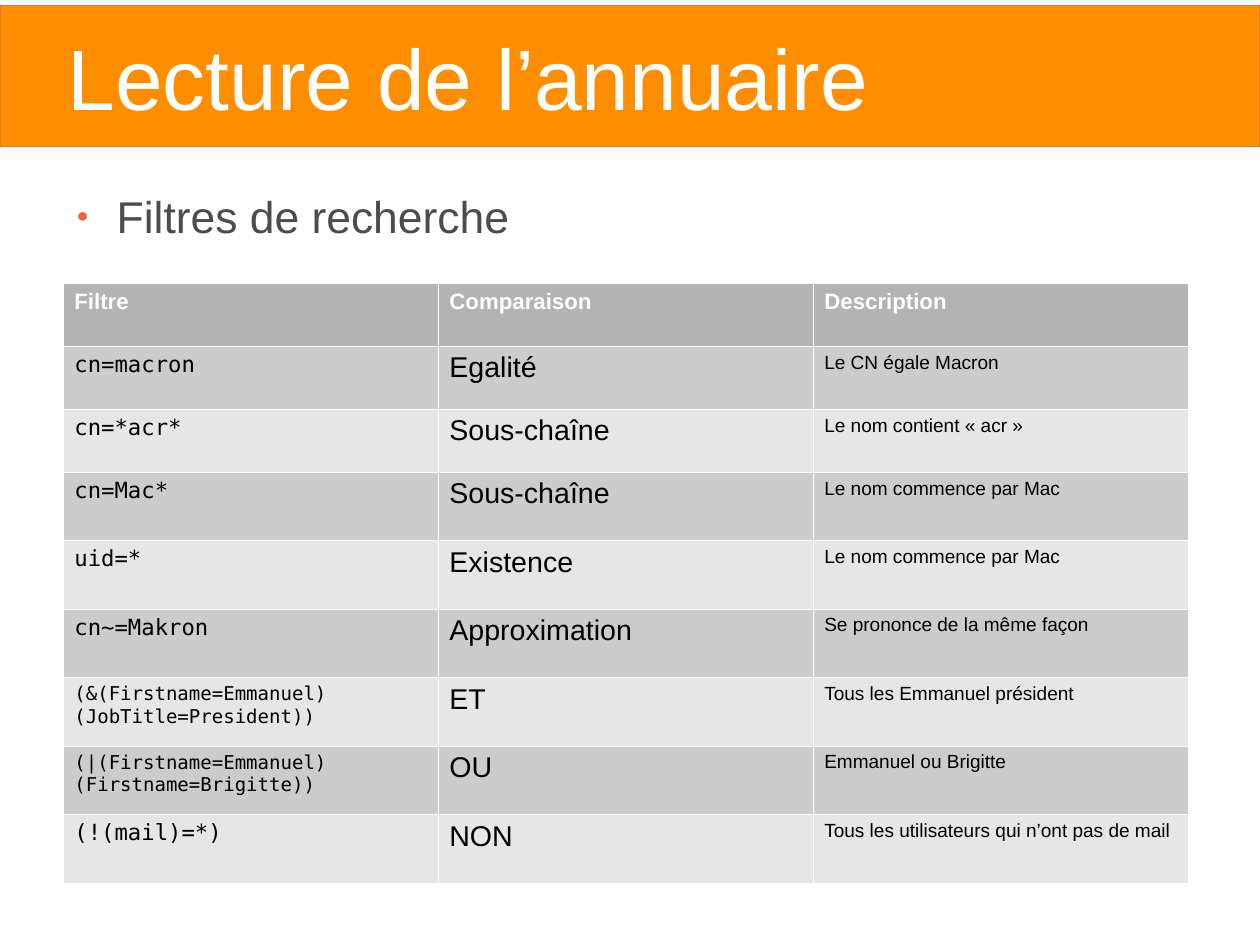
import pptx
import pptx.dml.color
import pptx.enum.text
import pptx.oxml
import pptx.oxml.ns
import pptx.util

WIDTH = pptx.util.Cm(28)
HEIGHT = pptx.util.Cm(21)
COLOURS = {
    "band": "FF8D00",
    "band_line": "D27E2B",
    "white": "FFFFFF",
    "bullet": "EB613D",
    "body": "4C4C4C",
    "black": "000000",
    "header": "B3B3B3",
    "dark_row": "CCCCCC",
    "light_row": "E6E6E6",
}
SANS = "Arial"
MONO = "DejaVu Sans Mono"
HEADINGS = ("Filtre", "Comparaison", "Description")
FILTERS = (
    ("cn=macron", "Egalité", "Le CN égale Macron"),
    ("cn=*acr*", "Sous-chaîne", "Le nom contient « acr »"),
    ("cn=Mac*", "Sous-chaîne", "Le nom commence par Mac"),
    ("uid=*", "Existence", "Le nom commence par Mac"),
    ("cn~=Makron", "Approximation", "Se prononce de la même façon"),
    ("(&(Firstname=Emmanuel)(JobTitle=President))", "ET", "Tous les Emmanuel président"),
    ("(|(Firstname=Emmanuel)(Firstname=Brigitte))", "OU", "Emmanuel ou Brigitte"),
    ("(!(mail)=*)", "NON", "Tous les utilisateurs qui n’ont pas de mail"),
)
LONG_FILTER = 20
SHORT_ROWS = 3


def across(percent):
    return round(WIDTH * percent / 100)


def down(percent):
    return round(HEIGHT * percent / 100)


def colour(name):
    return pptx.dml.color.RGBColor.from_string(COLOURS[name])


def parse_drawing(tag, content):
    namespace = pptx.oxml.ns.nsdecls("a")
    return pptx.oxml.parse_xml(f"<a:{tag} {namespace}>{content}</a:{tag}>")


def format_runs(frame, font, size, tint, bold=False):
    for para in frame.paragraphs:
        for span in para.runs:
            span.font.name = font
            span.font.size = pptx.util.Pt(size)
            span.font.bold = bold
            span.font.color.rgb = colour(tint)


def set_indent(para, margin, indent):
    properties = para._p.get_or_add_pPr()
    properties.set("marL", str(pptx.util.Inches(margin)))
    properties.set("indent", str(pptx.util.Inches(indent)))
    return properties


def set_insets(frame, inset):
    frame.margin_left = frame.margin_right = pptx.util.Inches(inset)
    frame.margin_top = frame.margin_bottom = pptx.util.Inches(inset)


def fill_title(page, text):
    title = page.shapes.title
    title.left, title.top = 0, down(0.62)
    title.width, title.height = WIDTH, down(14.88)
    title.fill.solid()
    title.fill.fore_color.rgb = colour("band")
    title.line.color.rgb = colour("band_line")
    title.line.width = pptx.util.Pt(0)
    frame = title.text_frame
    frame.text = text
    frame.word_wrap = True
    frame.auto_size = pptx.enum.text.MSO_AUTO_SIZE.SHAPE_TO_FIT_TEXT
    frame.vertical_anchor = pptx.enum.text.MSO_ANCHOR.MIDDLE
    set_insets(frame, 0.2)
    para = frame.paragraphs[0]
    para.alignment = pptx.enum.text.PP_ALIGN.LEFT
    set_indent(para, 0.39, 0)
    format_runs(frame, SANS, 54, "white")


def add_bullet(page, text):
    box = page.shapes.add_textbox(across(5), down(20), across(90), down(72.3))
    frame = box.text_frame
    frame.text = text
    frame.word_wrap = True
    set_insets(frame, 0)
    properties = set_indent(frame.paragraphs[0], 0.47, -0.35)
    properties.append(parse_drawing("buClr", f'<a:srgbClr val="{COLOURS["bullet"]}"/>'))
    for tag, attribute, value in (
        ("buSzPct", "val", "45000"),
        ("buFont", "typeface", SANS),
        ("buChar", "char", "●"),
    ):
        mark = parse_drawing(tag, "")
        mark.set(attribute, value)
        properties.append(mark)
    format_runs(frame, SANS, 28, "body")


def style_cell(cell, text, fill, font, size, tint, bold=False):
    cell.text_frame.text = text
    format_runs(cell.text_frame, font, size, tint, bold)
    cell.margin_left = cell.margin_right = pptx.util.Inches(0.1)
    cell.margin_top = cell.margin_bottom = pptx.util.Inches(0.05)
    properties = cell._tc.get_or_add_tcPr()
    for side in ("lnL", "lnR", "lnT", "lnB"):
        border = parse_drawing(
            side, f'<a:solidFill><a:srgbClr val="{COLOURS["white"]}"/></a:solidFill>'
        )
        border.set("w", str(pptx.util.Pt(0.06)))
        properties.append(border)
    cell.fill.solid()
    cell.fill.fore_color.rgb = colour(fill)


def add_filter_table(page):
    rows, columns = len(FILTERS) + 1, len(HEADINGS)
    table = page.shapes.add_table(
        rows, columns, across(5), down(30), across(89.28), down(63.45)
    ).table
    for index, row in enumerate(table.rows):
        row.height = down(6.65 if index < SHORT_ROWS else 7.25)
    for column, heading in enumerate(HEADINGS):
        style_cell(table.cell(0, column), heading, "header", SANS, 14, "white", True)
    for index, texts in enumerate(FILTERS, 1):
        fill = "dark_row" if index % 2 else "light_row"
        filter_size = 12 if len(texts[0]) > LONG_FILTER else 14
        styles = ((MONO, filter_size), (SANS, 18), (SANS, 12))
        for column, (text, (font, size)) in enumerate(zip(texts, styles)):
            style_cell(table.cell(index, column), text, fill, font, size, "black")


def main():
    deck = pptx.Presentation()
    deck.slide_width, deck.slide_height = WIDTH, HEIGHT
    deck.element.sldSz.attrib.pop("type", None)
    page = deck.slides.add_slide(deck.slide_layouts.get_by_name("Title Only"))
    fill_title(page, "Lecture de l’annuaire")
    add_bullet(page, "Filtres de recherche")
    add_filter_table(page)
    deck.save("out.pptx")


if __name__ == "__main__":
    main()
